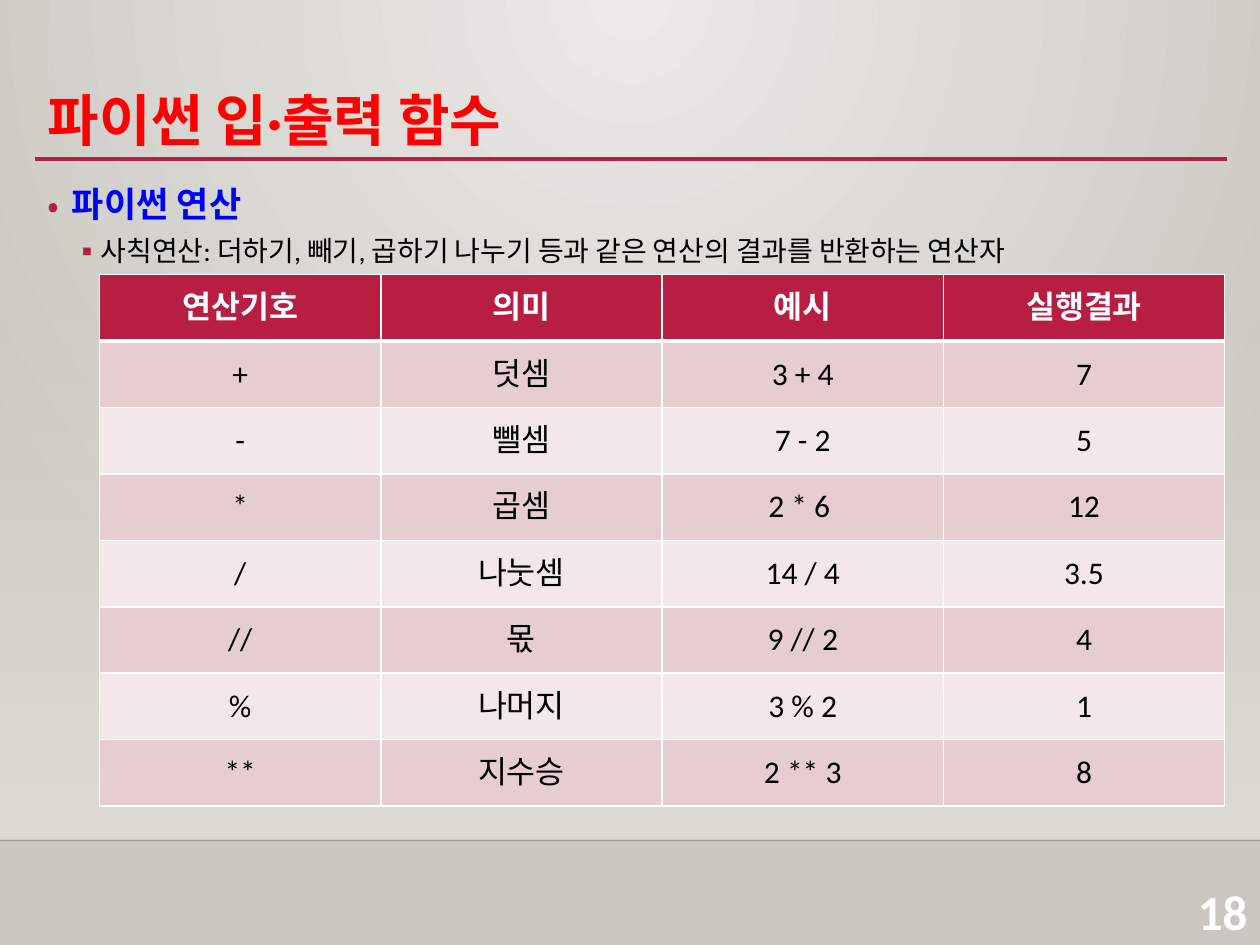
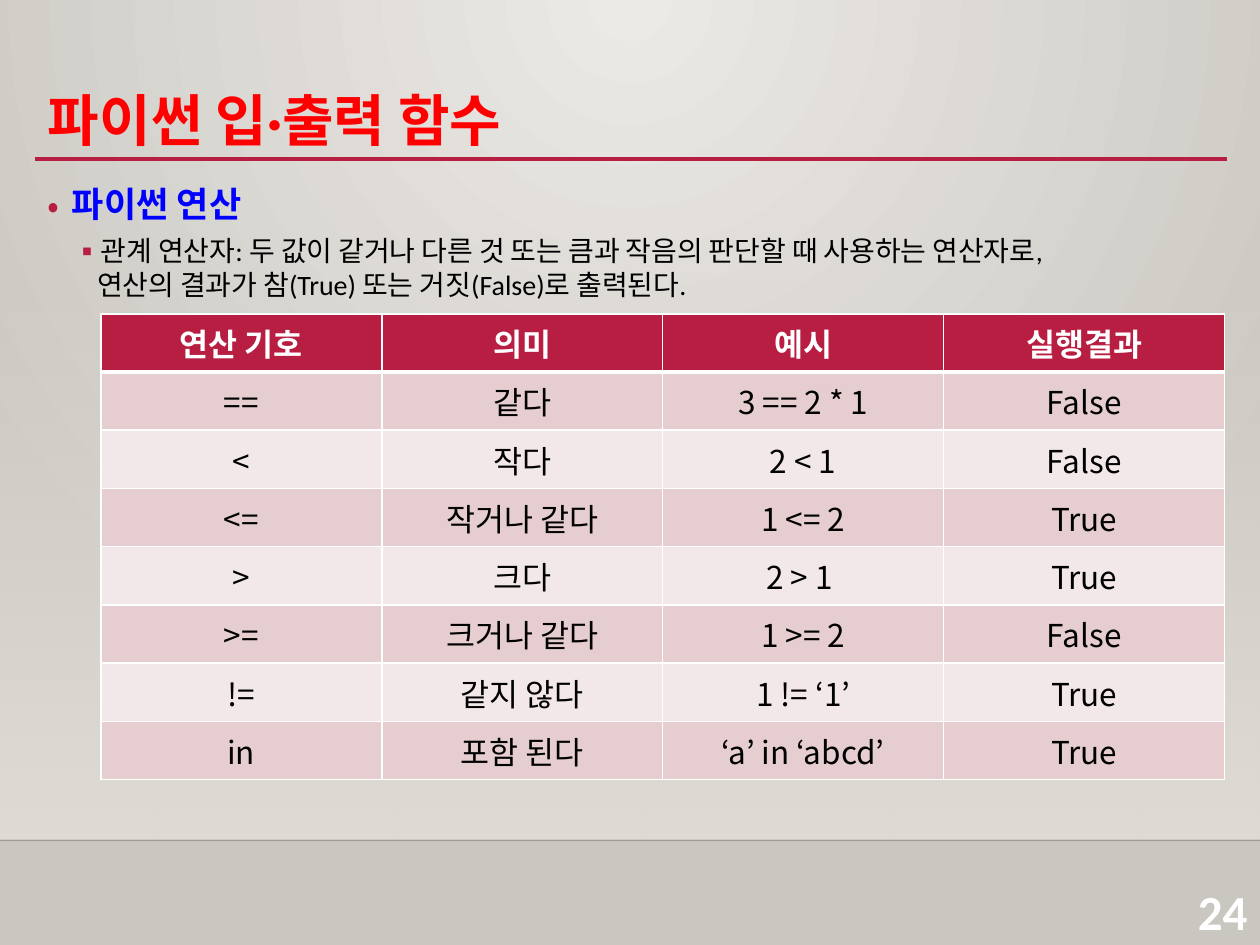
from dataclasses import dataclass

from lxml.etree import SubElement
from pptx import Presentation
from pptx.dml.color import RGBColor
from pptx.enum.shapes import MSO_CONNECTOR as Connector, MSO_SHAPE as Shape
from pptx.enum.text import MSO_ANCHOR as Anchor, MSO_AUTO_SIZE as AutoSize, PP_ALIGN as Align
from pptx.oxml.ns import qn
from pptx.util import Inches, Pt

# Shared look
CRIMSON, PINK, PALE_PINK = "B71E42", "E6CDCF", "F3E8E9"
WHITE, BLACK, RED, BLUE = "FFFFFF", "000000", "FF0000", "0000FF"
SAND, LIGHT, SHADE = "DFDBD5", "ECEAE7", "CAC7C1"
TEXT_FONT, KOREAN_FONT = "Calibri", "Noto Sans CJK KR"
MARGIN, CONTENT_WIDTH = 0.28, 9.45


@dataclass
class Bullet:
    mark: str
    indent: float
    space_before: int
    size: int
    color: str
    bold: bool


@dataclass
class OperatorTable:
    left: float
    top: float
    width: float
    height: float
    font: str
    rows: list[tuple[str, str, str, str]]


@dataclass
class OperatorSlide:
    number: int
    description: str
    table: OperatorTable


HEADING = Bullet("•", 0.19, 10, 20, BLUE, True)
DETAIL = Bullet("▪", 0.39, 5, 16, BLACK, False)

SLIDES = [
    OperatorSlide(
        18,
        "사칙연산: 더하기, 빼기, 곱하기 나누기 등과 같은 연산의 결과를 반환하는 연산자",
        OperatorTable(0.79, 2.18, 8.93, 4.22, TEXT_FONT, [
            ("연산기호", "의미", "예시", "실행결과"),
            ("+", "덧셈", "3 + 4", "7"),
            ("-", "뺄셈", "7 - 2", "5"),
            ("*", "곱셈", "2 * 6 ", "12"),
            ("/", "나눗셈", "14 / 4", "3.5"),
            ("//", "몫", "9 // 2", "4"),
            ("%", "나머지", "3 % 2", "1"),
            ("**", "지수승", "2 ** 3", "8"),
        ]),
    ),
    OperatorSlide(
        24,
        "관계 연산자: 두 값이 같거나 다른 것 또는 큼과 작음의 판단할 때 사용하는 연산자로, \v"
        "연산의 결과가 참(True) 또는 거짓(False)로 출력된다.",
        OperatorTable(0.8, 2.49, 8.92, 3.48, KOREAN_FONT, [
            ("연산 기호", "의미", "예시", "실행결과"),
            ("==", "같다", "3 == 2 * 1", "False"),
            ("<", "작다", "2 < 1", "False"),
            ("<=", "작거나 같다", "1 <= 2", "True"),
            (">", "크다", "2 > 1 ", "True"),
            (">=", "크거나 같다", "1 >= 2", "False"),
            ("!=", "같지 않다", "1 != ‘1’", "True"),
            ("in", "포함 된다", "‘a’ in ‘abcd’", "True"),
        ]),
    ),
]


def rgb(color: str) -> RGBColor:
    return RGBColor.from_string(color)


def set_alpha(element, percent: int) -> None:
    """Make the first colour inside the element translucent."""
    first_color = next(element.iter(qn("a:srgbClr")))
    SubElement(first_color, qn("a:alpha"), val=str(percent * 1000))


def set_gradient(fill, start: str, end: str) -> None:
    fill.gradient()
    for stop, position, color in zip(fill.gradient_stops, (0, 1), (start, end)):
        stop.position = position
        stop.color.rgb = rgb(color)


def set_font(paragraph, size: int, color: str, bold: bool, name: str = TEXT_FONT) -> None:
    font = paragraph.font
    font.size, font.bold, font.name = Pt(size), bold, name
    font.color.rgb = rgb(color)
    SubElement(font._rPr, qn("a:ea"), typeface=name)


def place(shape, left: float, top: float, width: float, height: float) -> None:
    shape.left, shape.top = Inches(left), Inches(top)
    shape.width, shape.height = Inches(width), Inches(height)


# Backdrop
def set_background(master) -> None:
    set_gradient(master.background.fill, LIGHT, SHADE)
    linear = master._element.find(".//" + qn("a:lin"))
    gradient = linear.getparent()
    gradient.remove(linear)
    circle = SubElement(gradient, qn("a:path"), path="circle")
    SubElement(circle, qn("a:fillToRect"), l="43000", t="0", r="43000", b="100000")


def add_rule(slide, left: float, right: float, y: float, color: str, width: float):
    rule = slide.shapes.add_connector(
        Connector.STRAIGHT, Inches(left), Inches(y), Inches(right), Inches(y))
    rule.line.color.rgb = rgb(color)
    rule.line.width = Pt(width)
    SubElement(rule._element.spPr, qn("a:effectLst"))
    return rule


def add_backdrop(slide, number: int) -> None:
    glow = slide.shapes.add_shape(
        Shape.RECTANGLE, Inches(0), Inches(2.2), Inches(10), Inches(4.46))
    glow.shadow.inherit = False
    glow.line.fill.background()
    set_gradient(glow.fill, SAND, SAND)
    glow.fill.gradient_angle = 270
    set_alpha(glow._element.spPr, 0)

    floor_rule = add_rule(slide, 0, 10, 6.67, "000001", 1)
    set_alpha(floor_rule._element.spPr, 20)
    add_rule(slide, MARGIN, 9.74, 1.26, CRIMSON, 2.5)

    page_number = slide.shapes.add_textbox(
        Inches(9.13), Inches(6.95), Inches(0.87), Inches(0.55)).text_frame
    page_number.word_wrap = True
    paragraph = page_number.paragraphs[0]
    paragraph.text = str(number)
    paragraph.alignment = Align.RIGHT
    set_font(paragraph, 28, WHITE, True)


# Title and list
def fill_title(title) -> None:
    place(title, MARGIN, 0.11, CONTENT_WIDTH, 1.15)
    frame = title.text_frame
    frame.auto_size = AutoSize.NONE
    frame.vertical_anchor = Anchor.BOTTOM
    paragraph = frame.paragraphs[0]
    paragraph.text = "파이썬 입·출력 함수"
    paragraph.alignment = Align.LEFT
    paragraph.line_spacing = 1.5
    set_font(paragraph, 32, RED, True)


def format_bullet(paragraph, style: Bullet) -> None:
    set_font(paragraph, style.size, style.color, style.bold)
    paragraph.space_before = Pt(style.space_before)
    properties = paragraph._p.get_or_add_pPr()
    properties.set("marL", str(Inches(style.indent)))
    properties.set("indent", str(Inches(-0.19)))
    bullet_color = SubElement(properties, qn("a:buClr"))
    SubElement(bullet_color, qn("a:srgbClr"), val=CRIMSON)
    bullet_font = SubElement(properties, qn("a:buFont"), typeface="Noto Sans CJK KR")
    bullet_mark = SubElement(properties, qn("a:buChar"), char=style.mark)
    for part in (bullet_color, bullet_font, bullet_mark):
        properties.find(qn("a:defRPr")).addprevious(part)


def fill_body(body, description: str) -> None:
    place(body, MARGIN, 1.4, CONTENT_WIDTH, 5.22)
    frame = body.text_frame
    frame.auto_size = AutoSize.NONE
    heading, detail = frame.paragraphs[0], frame.add_paragraph()
    heading.text, detail.text = "파이썬 연산", description
    detail.level = 1
    format_bullet(heading, HEADING)
    format_bullet(detail, DETAIL)


# Operator table
def set_borders(cell, row: int) -> None:
    """White grid with a heavy line under the header."""
    widths = {"L": 1, "R": 1, "T": 3 if row == 1 else 1, "B": 3 if row == 0 else 1}
    for side, width in widths.items():
        border = SubElement(cell._tc.get_or_add_tcPr(), qn(f"a:ln{side}"), w=str(Pt(width)))
        SubElement(SubElement(border, qn("a:solidFill")), qn("a:srgbClr"), val=WHITE)


def add_operator_table(slide, spec: OperatorTable) -> None:
    table = slide.shapes.add_table(
        len(spec.rows), len(spec.rows[0]), Inches(spec.left), Inches(spec.top),
        Inches(spec.width), Inches(spec.height)).table
    for row, texts in enumerate(spec.rows):
        is_header = row == 0
        row_color = CRIMSON if is_header else PINK if row % 2 else PALE_PINK
        for column, text in enumerate(texts):
            cell = table.cell(row, column)
            set_borders(cell, row)
            cell.fill.solid()
            cell.fill.fore_color.rgb = rgb(row_color)
            cell.vertical_anchor = Anchor.MIDDLE
            paragraph = cell.text_frame.paragraphs[0]
            paragraph.text = text
            paragraph.alignment = Align.CENTER
            set_font(paragraph, 18, WHITE if is_header else BLACK, is_header, spec.font)


def add_operator_slide(deck, content: OperatorSlide) -> None:
    slide = deck.slides.add_slide(deck.slide_layouts[1])
    title, body = slide.placeholders
    add_backdrop(slide, content.number)
    # Bring the title and list in front of the backdrop
    for placeholder in (title, body):
        slide.shapes._spTree.append(placeholder._element)
    fill_title(title)
    fill_body(body, content.description)
    add_operator_table(slide, content.table)


def main() -> None:
    deck = Presentation()
    deck.slide_width, deck.slide_height = Inches(10), Inches(7.5)
    set_background(deck.slide_master)
    for content in SLIDES:
        add_operator_slide(deck, content)
    deck.save("out.pptx")


if __name__ == "__main__":
    main()
